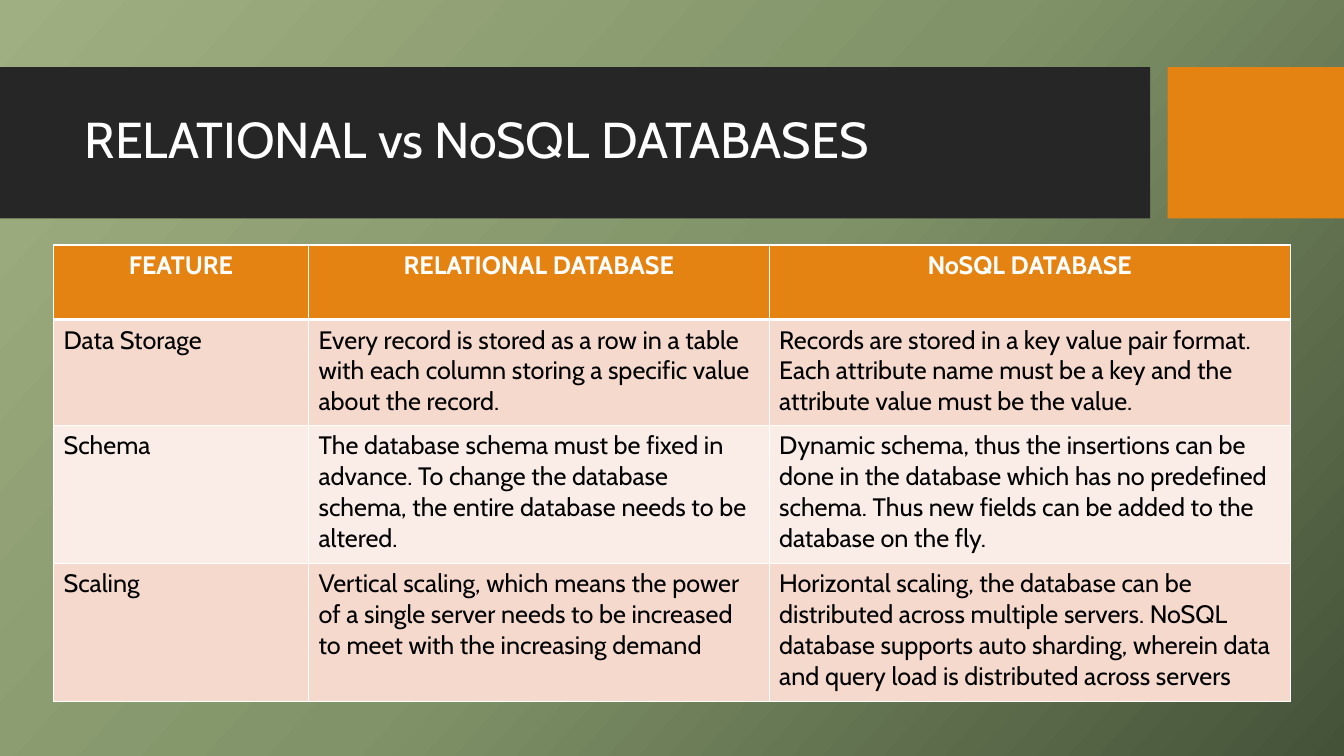
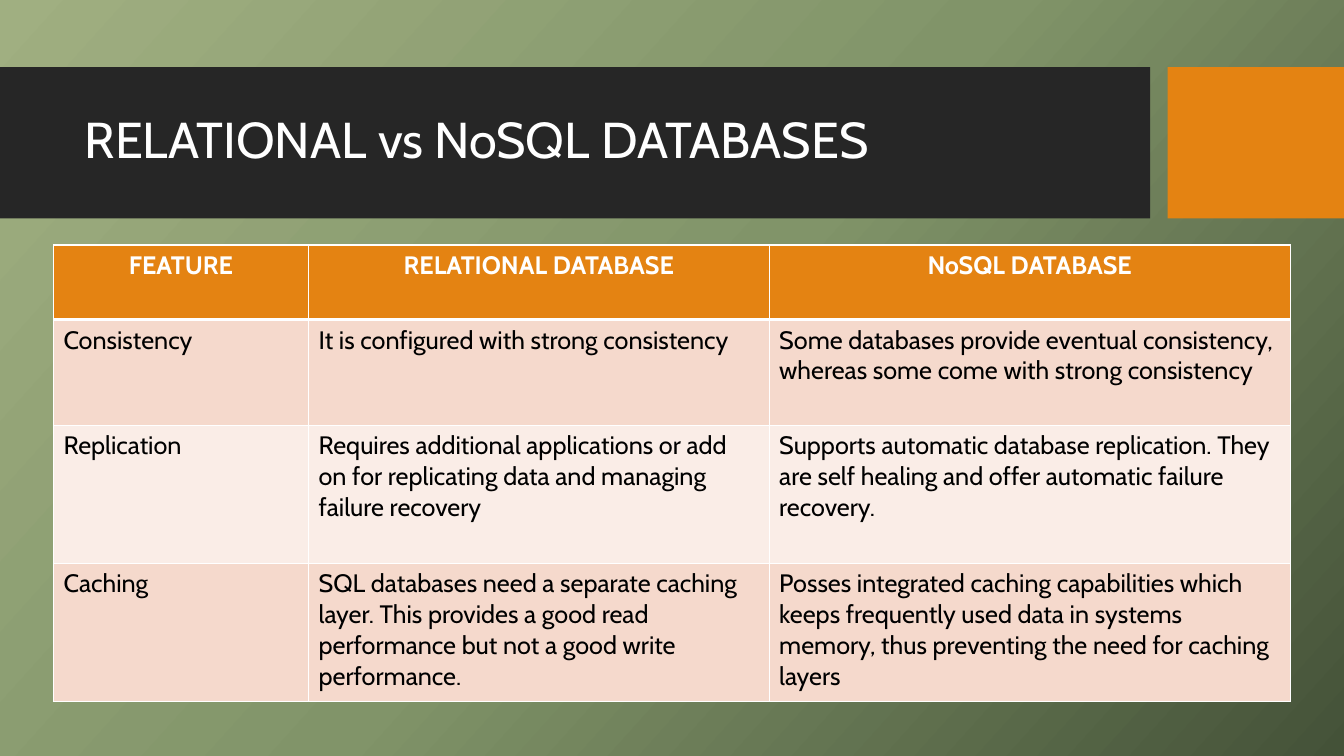
import copy

import pptx
import pptx.util
from lxml import etree
from pptx.dml.color import RGBColor
from pptx.enum.shapes import MSO_SHAPE
from pptx.enum.text import MSO_ANCHOR, MSO_AUTO_SIZE, PP_ALIGN
from pptx.oxml.ns import qn

Pt = pptx.util.Pt

# Colours
WHITE = RGBColor(0xFF, 0xFF, 0xFF)
BLACK = RGBColor(0x00, 0x00, 0x00)
CHARCOAL = RGBColor(0x26, 0x26, 0x26)
ORANGE = RGBColor(0xE4, 0x83, 0x12)
PINK = RGBColor(0xF5, 0xD9, 0xCC)
PALE_PINK = RGBColor(0xFA, 0xED, 0xE7)
GREENS = [RGBColor(0xA0, 0xAF, 0x81), RGBColor(0x81, 0x94, 0x69),
          RGBColor(0x44, 0x52, 0x38)]

# Shared content and layout, in points
TITLE = "RELATIONAL vs NoSQL DATABASES"
HEADER = ["FEATURE", "RELATIONAL DATABASE", "NoSQL DATABASE"]
COLUMN_WIDTHS = [182.2, 329, 372.2]
ROW_HEIGHTS = [53.3, 75.6, 98.6, 98.6]


class Deck:
    """Holds the style and the current slide."""

    FONT = "Cabin"

    def __init__(self):
        self.presentation = pptx.Presentation()
        self.presentation.slide_width = Pt(960)
        self.presentation.slide_height = Pt(540)
        self.slide = None
        self.paint_background()

    def paint_background(self):
        master = self.presentation.slide_master
        fill = master.background.fill
        fill.gradient()
        fill.gradient_angle = 360 - 42
        stop_list = master.element.find(".//" + qn("a:gsLst"))
        stop_list.insert(1, copy.deepcopy(stop_list[0]))
        for stop, position, color in zip(fill.gradient_stops, (0, 0.5, 1), GREENS):
            stop.position = position
            stop.color.rgb = color

    def add_slide(self, title):
        title_only = self.presentation.slide_layouts[5]
        self.slide = self.presentation.slides.add_slide(title_only)
        self.band(0, 821.5, CHARCOAL)
        self.band(834, 126, ORANGE)
        self.title(title)

    def band(self, left, width, color):
        band = self.slide.shapes.add_shape(
            MSO_SHAPE.RECTANGLE, Pt(left), Pt(48), Pt(width), Pt(108))
        band.shadow.inherit = False
        band.fill.solid()
        band.fill.fore_color.rgb = color
        band.line.fill.background()

    def title(self, text):
        heading = self.slide.shapes.title
        # Bring the title in front of the bands
        self.slide.shapes.element.append(heading.element)
        heading.left, heading.top = Pt(53.3), Pt(59)
        heading.width, heading.height = Pt(756.7), Pt(85)
        frame = heading.text_frame
        frame.text = text
        frame.word_wrap = True
        frame.auto_size = MSO_AUTO_SIZE.NONE
        frame.vertical_anchor = MSO_ANCHOR.MIDDLE
        paragraph = frame.paragraphs[0]
        paragraph.line_spacing = 0.9
        self.format(paragraph, 36, WHITE, PP_ALIGN.LEFT)

    def format(self, paragraph, size, color, alignment, bold=False):
        paragraph.alignment = alignment
        font = paragraph.font
        font.name, font.size, font.bold = self.FONT, Pt(size), bold
        font.color.rgb = color

    def table(self, rows):
        table = self.slide.shapes.add_table(
            len(rows), len(COLUMN_WIDTHS), Pt(38.2), Pt(175),
            Pt(sum(COLUMN_WIDTHS)), Pt(sum(ROW_HEIGHTS))).table
        table.horz_banding = False
        for column, width in zip(table.columns, COLUMN_WIDTHS):
            column.width = Pt(width)
        for row, height in zip(table.rows, ROW_HEIGHTS):
            row.height = Pt(height)
        for index, texts in enumerate(rows):
            for cell, text in zip(table.rows[index].cells, texts):
                self.cell(cell, text, index)

    def cell(self, cell, text, row):
        is_header = row == 0
        cell.text = text
        cell.fill.solid()
        if is_header:
            cell.fill.fore_color.rgb = ORANGE
        else:
            cell.fill.fore_color.rgb = PINK if row % 2 else PALE_PINK
        self.format(cell.text_frame.paragraphs[0], 18,
                    WHITE if is_header else BLACK,
                    PP_ALIGN.CENTER if is_header else PP_ALIGN.LEFT, is_header)
        # The rule under the header is thicker than the others
        self.borders(cell, top=3 if row == 1 else 1, bottom=3 if is_header else 1)

    def borders(self, cell, top, bottom):
        properties = cell._tc.get_or_add_tcPr()
        sides = [("a:lnL", 1), ("a:lnR", 1), ("a:lnT", top), ("a:lnB", bottom)]
        for position, (side, width) in enumerate(sides):
            line = etree.Element(qn(side), w=str(Pt(width)))
            fill = etree.SubElement(line, qn("a:solidFill"))
            etree.SubElement(fill, qn("a:srgbClr"), val=str(WHITE))
            properties.insert(position, line)


# Comparison rows, one list per slide
COMPARISONS = [
    [
        ["Data Storage",
         "Every record is stored as a row in a table with each column storing "
         "a specific value about the record.",
         "Records are stored in a key value pair format. Each attribute name "
         "must be a key and the attribute value must be the value."],
        ["Schema",
         "The database schema must be fixed in advance. To change the database "
         "schema, the entire database needs to be altered.",
         "Dynamic schema, thus the insertions can be done in the database which "
         "has no predefined schema. Thus new fields can be added to the "
         "database on the fly."],
        ["Scaling",
         "Vertical scaling, which means the power of a single server needs to "
         "be increased to meet with the increasing demand",
         "Horizontal scaling, the database can be distributed across multiple "
         "servers. NoSQL database supports auto sharding, wherein data and "
         "query load is distributed across servers"],
    ],
    [
        ["Consistency",
         "It is configured with strong consistency",
         "Some databases provide eventual consistency, whereas some come with "
         "strong consistency"],
        ["Replication",
         "Requires additional applications or add on for replicating data and "
         "managing failure recovery",
         "Supports automatic database replication. They are self healing and "
         "offer automatic failure recovery."],
        ["Caching",
         "SQL databases need a separate caching layer. This provides a good "
         "read performance but not a good write performance.",
         "Posses integrated caching capabilities which keeps frequently used "
         "data in systems memory, thus preventing the need for caching layers"],
    ],
]

# Build the slides
deck = Deck()
for comparison in COMPARISONS:
    deck.add_slide(TITLE)
    deck.table([HEADER] + comparison)
deck.presentation.save("out.pptx")
